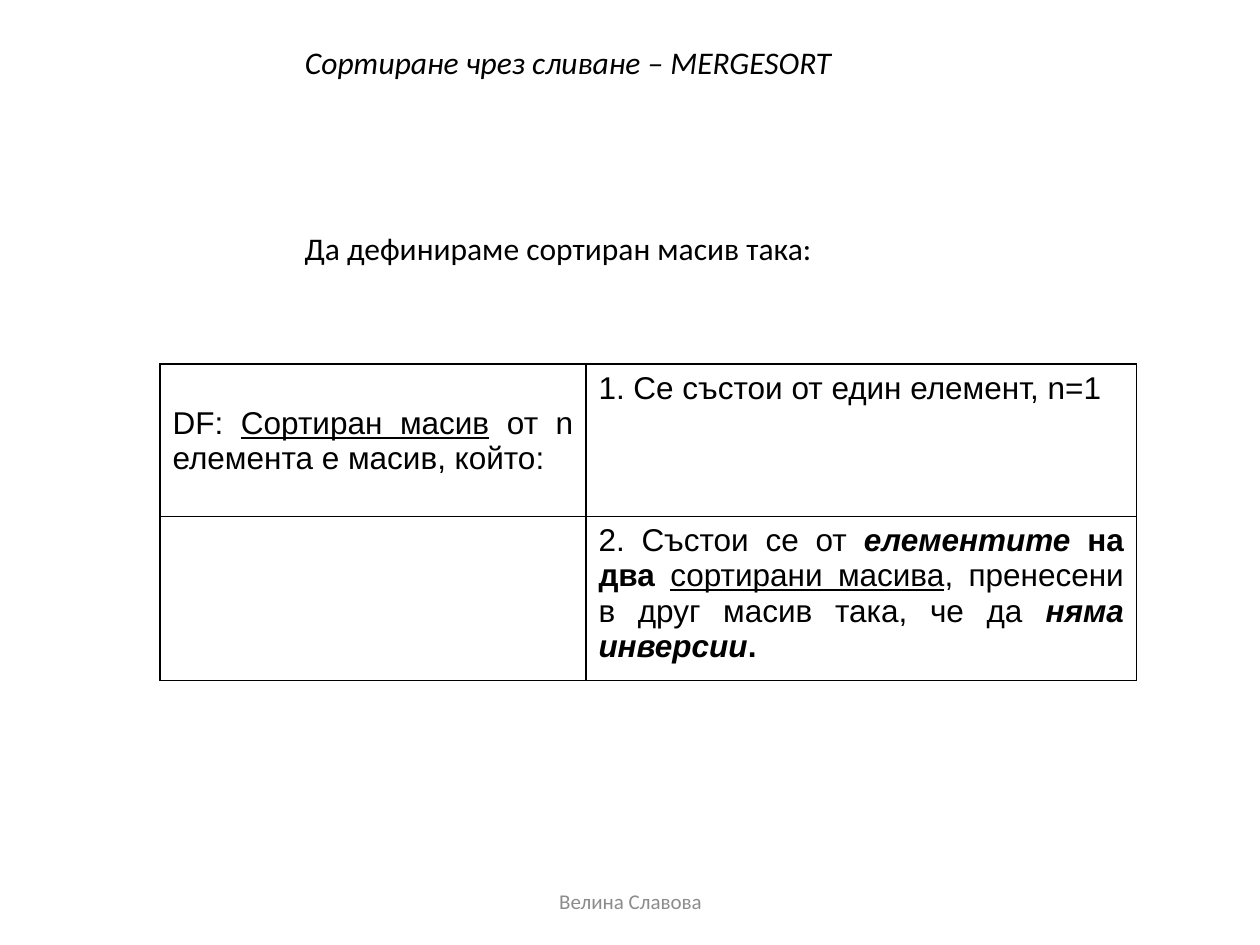
from pptx import Presentation
from pptx import util as u
from pptx.dml.color import RGBColor
from pptx.enum import text
from pptx.oxml import parse_xml
from pptx.oxml.ns import nsdecls

Inches, Pt = u.Inches, u.Pt

BLACK = RGBColor(0x00, 0x00, 0x00)
GREY = RGBColor(0x8C, 0x8C, 0x8C)

HEADING_FONT = "Calibri"
TABLE_FONT = "Arial"
COLUMN_WIDTHS = (3.38, 4.37)
ROW_HEIGHTS = (1.21, 1.3)

BOLD = {"bold": True}
BOLD_ITALIC = {"bold": True, "italic": True}
UNDERLINE = {"underline": True}

DEFINITION_TERM = [
    ("DF: ", {}),
    ("Сортиран масив", UNDERLINE),
    (" от n елемента е масив, който:", {}),
]
SINGLE_ELEMENT_CASE = [("1. Се състои от един елемент, n=1", {})]
MERGED_CASE = [
    ("2. Състои се от ", {}),
    ("елементите", BOLD_ITALIC),
    (" на два ", BOLD),
    ("сортирани масива", UNDERLINE),
    (", пренесени в друг масив така, че да ", {}),
    ("няма инверсии", BOLD_ITALIC),
    (".", BOLD),
]
DEFINITION_ROWS = [
    (DEFINITION_TERM, SINGLE_ELEMENT_CASE),
    ([], MERGED_CASE),
]


def add_runs(paragraph, runs, font_name, size, color, alignment):
    paragraph.alignment = alignment
    for wording, formats in runs:
        run = paragraph.add_run()
        run.text = wording
        run.font.color.rgb = color
        values = {"name": font_name, "size": Pt(size), **formats}
        for name, value in values.items():
            setattr(run.font, name, value)


def fill_text_shape(shape, box, runs, size=18, color=BLACK,
                    alignment=text.PP_ALIGN.LEFT, **frame_formats):
    """Place a text shape in box (left, top, width, height) and write its line."""
    shape.left, shape.top, shape.width, shape.height = map(Inches, box)
    values = {
        "margin_left": Inches(0.1),
        "margin_right": Inches(0.1),
        "margin_top": Inches(0.05),
        "margin_bottom": 0,
        "auto_size": text.MSO_AUTO_SIZE.NONE,
        "vertical_anchor": text.MSO_ANCHOR.MIDDLE,
        "word_wrap": False,
        **frame_formats,
    }
    for name, value in values.items():
        setattr(shape.text_frame, name, value)
    add_runs(shape.text_frame.paragraphs[0], runs, HEADING_FONT, size, color, alignment)


def add_title(slide, box):
    fill_text_shape(slide.shapes.title, box,
                    [("Сортиране чрез сливане – MERGESORT", {"italic": True})],
                    vertical_anchor=text.MSO_ANCHOR.TOP, word_wrap=True)


def add_introduction(slide, box):
    shape = slide.shapes.add_textbox(*map(Inches, box))
    fill_text_shape(shape, box, [("Да дефинираме сортиран масив така:", {})])


def add_footer(slide, box):
    shape = slide.shapes.add_textbox(*map(Inches, box))
    fill_text_shape(shape, box, [("Велина Славова", {})], size=12, color=GREY,
                    alignment=text.PP_ALIGN.CENTER, margin_bottom=Inches(0.05),
                    word_wrap=True)


def set_borders(cell, color, width):
    properties = cell._tc.get_or_add_tcPr()
    for position, side in enumerate(("lnL", "lnR", "lnT", "lnB")):
        properties.insert(position, parse_xml(
            f'<a:{side} {nsdecls("a")} w="{Pt(width)}"><a:solidFill>'
            f'<a:srgbClr val="{color}"/></a:solidFill></a:{side}>'))


def add_definition_table(slide, left, top):
    frame = slide.shapes.add_table(
        len(ROW_HEIGHTS), len(COLUMN_WIDTHS), Inches(left), Inches(top),
        Inches(sum(COLUMN_WIDTHS)), Inches(sum(ROW_HEIGHTS)))
    table = frame.table
    table.first_row = table.horz_banding = False
    for column, width in zip(table.columns, COLUMN_WIDTHS):
        column.width = Inches(width)
    for row, height, contents in zip(table.rows, ROW_HEIGHTS, DEFINITION_ROWS):
        row.height = Inches(height)
        for cell, runs in zip(row.cells, contents):
            cell.fill.background()
            set_borders(cell, BLACK, 1)
            add_runs(cell.text_frame.paragraphs[0], runs, TABLE_FONT, 18, BLACK,
                     text.PP_ALIGN.JUSTIFY)
    # The term starts one line below the top of its cell
    table.cell(0, 0).margin_top = Inches(0.33)


def main():
    presentation = Presentation()
    presentation.slide_width = Inches(10)
    presentation.slide_height = Inches(7.5)
    title_only = presentation.slide_layouts[5]
    slide = presentation.slides.add_slide(title_only)
    add_title(slide, (2.32, 0.29, 5.76, 0.65))
    add_definition_table(slide, 1.27, 2.89)
    add_footer(slide, (3.42, 6.95, 3.17, 0.4))
    add_introduction(slide, (2.32, 1.77, 4.27, 0.35))
    presentation.save("out.pptx")


if __name__ == "__main__":
    main()
